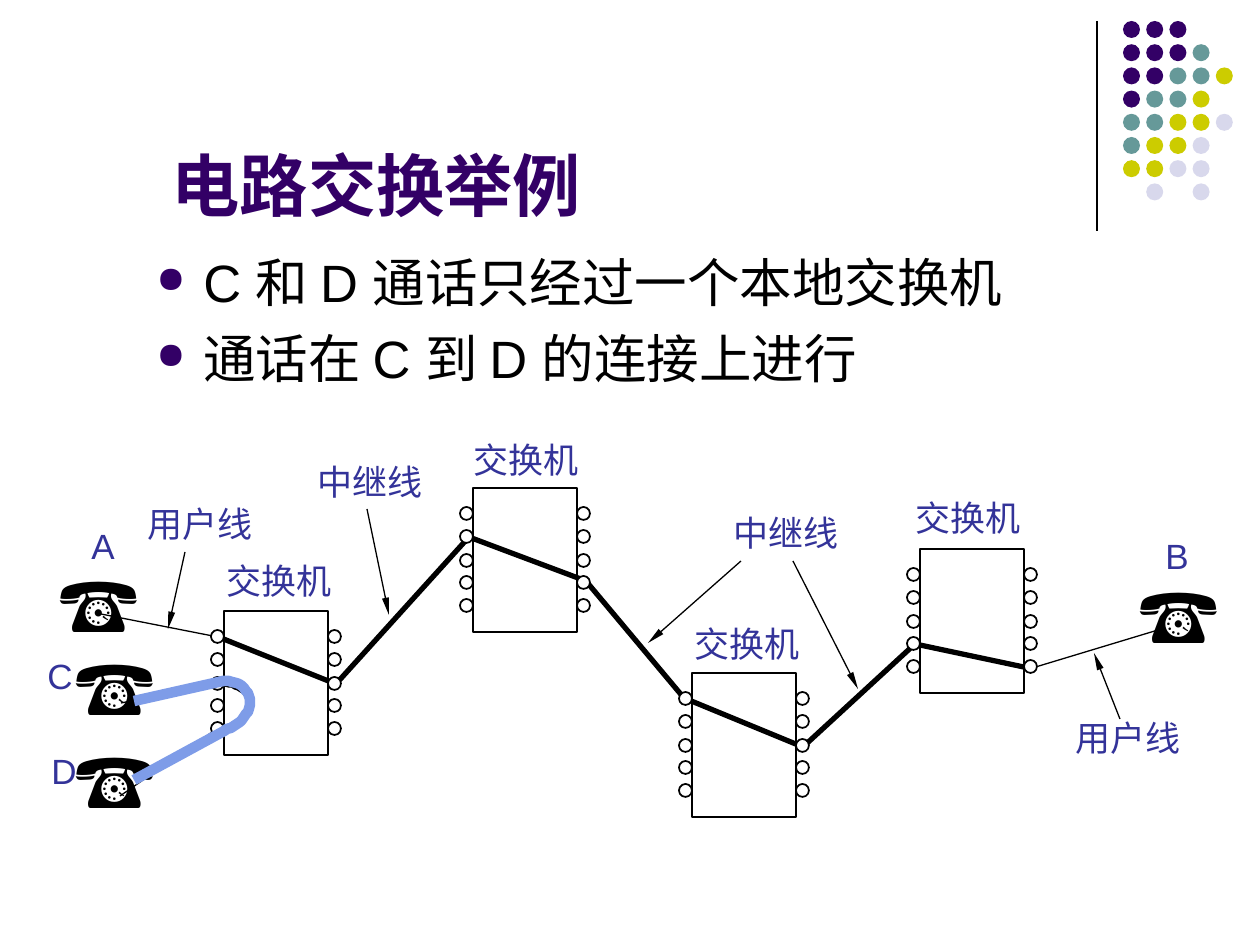
from dataclasses import dataclass

from lxml import etree
from pptx import Presentation
from pptx.dml.color import RGBColor
from pptx.enum.shapes import MSO_CONNECTOR, MSO_SHAPE
from pptx.enum.text import MSO_ANCHOR, MSO_AUTO_SIZE, PP_ALIGN
from pptx.oxml.ns import qn
from pptx.util import Pt

OVAL, RECT = MSO_SHAPE.OVAL, MSO_SHAPE.RECTANGLE
STRAIGHT = MSO_CONNECTOR.STRAIGHT
BOTTOM, LEFT = MSO_ANCHOR.BOTTOM, PP_ALIGN.LEFT
FIT, FIXED = MSO_AUTO_SIZE.SHAPE_TO_FIT_TEXT, MSO_AUTO_SIZE.NONE
PX = 914400 / 126
COLOR = {"ink": "000000", "white": "FFFFFF", "title": "330066",
         "label": "333399", "call": "7E9CE8",
         "P": "330066", "T": "669999", "Y": "CCCC00", "G": "D8D8EC"}
THIN, EDGE, TRUNK, CALL = 0.74, 1, 3, 6
Point = tuple[int, int]


@dataclass
class Label:
    text: str
    x: int
    y: int
    width: int = 130
    height: int = 55
    size: int = 20
    face: str = "Times New Roman"
    color: str = "label"


@dataclass
class Wire:
    start: Point
    end: Point
    color: str = "ink"
    width: float = THIN
    arrow: bool = False


def px(n: float) -> int:
    return round(n * PX)


def rgb(name: str) -> RGBColor:
    return RGBColor.from_string(COLOR[name])


def style(font, size: int, face: str, color: str, bold: bool = False) -> None:
    font.size, font.name, font.bold = Pt(size), face, bold
    font.color.rgb = rgb(color)


def stroke(shape, color: str, width: float) -> None:
    shape.line.color.rgb = rgb(color)
    shape.line.width = Pt(width)


def draw_shape(kind, x: float, y: float, w: int, h: int,
               fill: str = "", edge: str = "") -> None:
    shape = shapes.add_shape(kind, px(x), px(y), px(w), px(h))
    shape.shadow.inherit = False
    if fill:
        shape.fill.solid()
        shape.fill.fore_color.rgb = rgb(fill)
    else:
        shape.fill.background()
    if edge:
        stroke(shape, edge, EDGE)
    else:
        shape.line.fill.background()


def draw_wire(wire: Wire) -> None:
    line = shapes.add_connector(STRAIGHT, *map(px, wire.start + wire.end))
    stroke(line, wire.color, wire.width)
    if wire.arrow:
        etree.SubElement(line.line._get_or_add_ln(), qn("a:tailEnd"),
                         type="triangle", w="sm", len="lg")
    etree.SubElement(line._element.spPr, qn("a:effectLst"))


def draw_path(points: list, color: str, width: float) -> None:
    form = shapes.build_freeform(*points[0], scale=PX)
    form.add_line_segments(points[1:], close=False)
    path = form.convert_to_shape()
    path.shadow.inherit = False
    path.fill.background()
    stroke(path, color, width)


def bend(a: Point, b: Point, c: Point, d: Point, steps: int = 12) -> list:
    """Points along a cubic curve."""
    curve = []
    for i in range(steps + 1):
        t = i / steps
        u = 1 - t
        curve.append(tuple(u**3 * p + 3 * u * u * t * q + 3 * u * t * t * r + t**3 * s
                           for p, q, r, s in zip(a, b, c, d)))
    return curve


def draw_switch(x: int, y: int) -> None:
    draw_shape(RECT, x, y, 104, 144, edge="ink")
    for side in (-13, 104):
        for drop in (19, 42, 66, 88, 111):
            draw_shape(OVAL, x + side, y + drop, 13, 13, "white", "ink")


def draw_label(label: Label) -> None:
    box = shapes.add_textbox(*map(px, (label.x, label.y, label.width, label.height)))
    frame = box.text_frame
    frame.word_wrap = False
    frame.auto_size = FIT
    frame.text = label.text
    style(frame.paragraphs[0].font, label.size, label.face, label.color)


def add_bullet(para) -> None:
    props = para._p.get_or_add_pPr()
    props.set("marL", str(px(47)))
    props.set("indent", str(px(-47)))
    tint = etree.SubElement(props, qn("a:buClr"))
    etree.SubElement(tint, qn("a:srgbClr"), val=COLOR["title"])
    etree.SubElement(props, qn("a:buSzPct"), val="70000")
    etree.SubElement(props, qn("a:buChar"), char="●")


def phone(x: int, y: int) -> Label:
    return Label("☎", x, y, 106, 106, 44, "Arial", "ink")


def party(name: str, x: int, y: int) -> Label:
    return Label(name, x, y, 49, face="Arial")


deck = Presentation()
deck.slide_width, deck.slide_height = px(1260), px(945)
slide = deck.slides.add_slide(deck.slide_layouts[5])
shapes = slide.shapes

# Corner ornament
draw_wire(Wire((1097, 21), (1097, 231)))
DOTS = ("PPP", "PPPT", "PPTTY", "PTTY", "TTYYG", "TYYG", "YYGG", " G G")
PITCH = 23.2
for row, marks in enumerate(DOTS):
    for col, mark in enumerate(marks):
        if mark != " ":
            draw_shape(OVAL, 1123 + col * PITCH, 21 + row * PITCH, 17, 17, mark)

# Title
title = shapes.title
title.left, title.top, title.width, title.height = map(px, (159, 29, 1074, 202))
head = title.text_frame
head.text = "电路交换举例"
head.vertical_anchor, head.auto_size = BOTTOM, FIXED
head.paragraphs[0].alignment = LEFT
style(head.paragraphs[0].font, 39, "Arial", "title", True)

# Bullets
body = shapes.add_textbox(*map(px, (144, 244, 1071, 567))).text_frame
body.word_wrap = True
body.text = "C 和 D 通话只经过一个本地交换机\n通话在 C 到 D 的连接上进行"
for para in body.paragraphs:
    para.space_before = Pt(7.5)
    add_bullet(para)
    style(para.font, 30, "Arial", "ink")

# Subscriber lines and trunk route
draw_path(bend((222, 684), (236, 684), (249, 692), (249, 704))
          + bend((249, 704), (249, 718), (234, 727), (219, 728)), "ink", TRUNK)
for wire in (Wire((120, 796), (218, 728)), Wire((121, 703), (219, 684)),
             Wire((1029, 669), (1158, 630)), Wire((101, 614), (218, 637))):
    draw_wire(wire)
draw_path([(216, 636), (336, 684), (469, 537), (586, 581),
           (684, 698), (803, 747), (915, 644), (1033, 669)], "ink", TRUNK)

# Switches
for spot in ((224, 611), (473, 488), (692, 673), (920, 549)):
    draw_switch(*spot)

# Pointers
for start, end in (((185, 552), (168, 629)), ((1120, 719), (1094, 653)),
                   ((741, 561), (648, 643)), ((793, 561), (858, 689)),
                   ((367, 509), (389, 615))):
    draw_wire(Wire(start, end, arrow=True))

# Phones and labels
LABELS = (
    phone(47, 549), phone(1127, 560), phone(63, 632), phone(63, 725),
    Label("交换机", 214, 553), Label("交换机", 461, 432),
    Label("交换机", 682, 616), Label("交换机", 903, 490),
    Label("用户线", 135, 496), Label("用户线", 1063, 710),
    Label("中继线", 721, 505), Label("中继线", 305, 454),
    party("A", 79, 518), party("B", 1153, 528),
    party("C", 35, 648), party("D", 39, 743),
)
for label in LABELS:
    draw_label(label)

# Call from C to D
draw_path(bend((222, 681), (236, 679), (251, 690), (250, 702))
          + bend((250, 702), (250, 716), (238, 725), (224, 731)), "call", CALL)
for start, end in (((134, 701), (223, 681)), ((134, 780), (226, 730))):
    draw_wire(Wire(start, end, "call", CALL))

deck.save("out.pptx")
